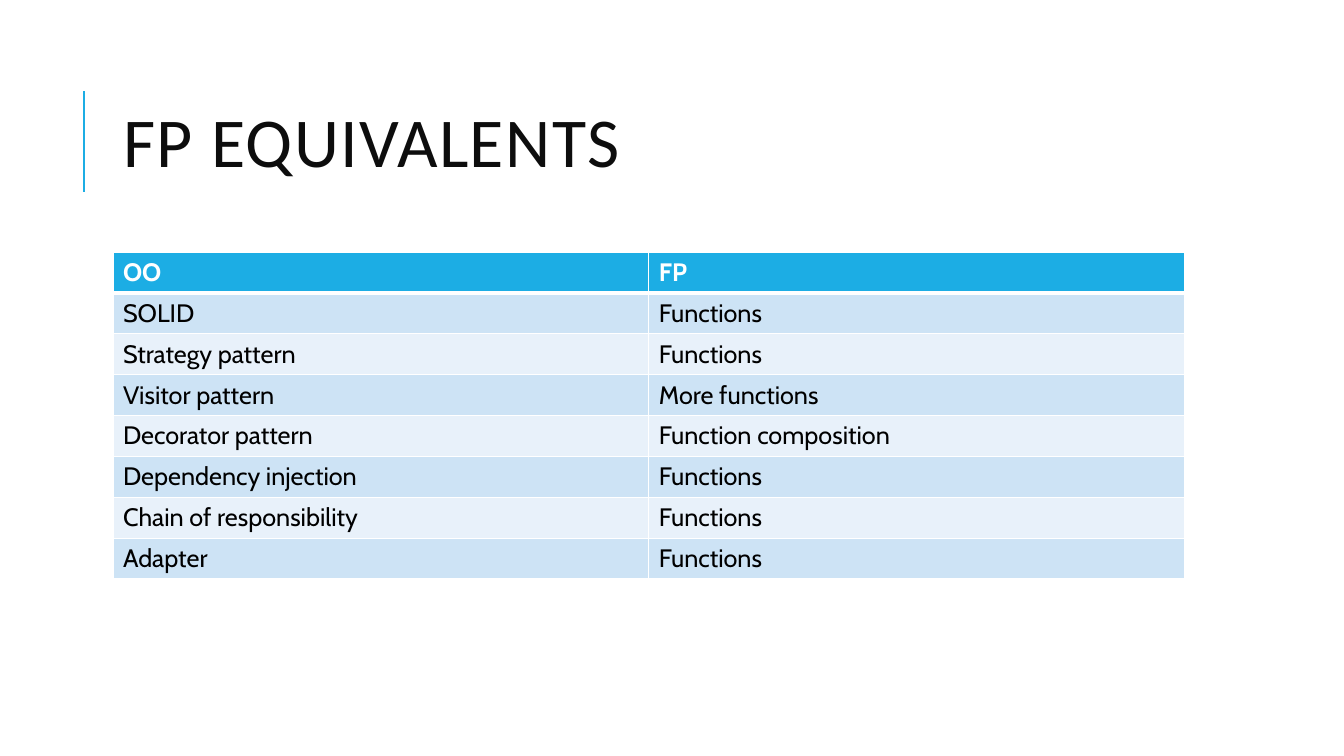
from pptx import Presentation
from pptx.dml.color import RGBColor
from pptx.enum.shapes import MSO_CONNECTOR
from pptx.enum.text import MSO_ANCHOR, MSO_AUTO_SIZE, PP_ALIGN
from pptx.oxml.ns import qn
from pptx.util import Inches, Pt
from lxml.etree import SubElement

TITLE = "FP EQUIVALENTS"
EQUIVALENTS = [
    ("OO", "FP"),
    ("SOLID", "Functions"),
    ("Strategy pattern", "Functions"),
    ("Visitor pattern", "More functions"),
    ("Decorator pattern", "Function composition"),
    ("Dependency injection", "Functions"),
    ("Chain of responsibility", "Functions"),
    ("Adapter", "Functions"),
]
ACCENT, WHITE, BLACK, TITLE_INK = "1CADE4", "FFFFFF", "000000", "0D0D0D"
BANDS = ("E8F1FA", "CDE3F5")  # even rows, odd rows
LEFT, WIDTH = 1.12, 10.63
TABLE_TOP, ROW_HEIGHT = 2.5, 0.405


def rgb(value):
    return RGBColor.from_string(value)


def add_run(paragraph, text, font, size, color, bold=False):
    run = paragraph.add_run()
    run.text = text
    run.font.name = font
    run.font.size = Pt(size)
    run.font.bold = bold
    run.font.color.rgb = rgb(color)
    return run


def add_border(cell, side, width):
    border = SubElement(cell._tc.get_or_add_tcPr(), qn(f"a:ln{side}"), w=str(Pt(width)))
    fill = SubElement(border, qn("a:solidFill"))
    SubElement(fill, qn("a:srgbClr"), val=WHITE)


prs = Presentation()
prs.slide_width, prs.slide_height = Inches(13.33), Inches(7.5)
slide = prs.slides.add_slide(prs.slide_layouts[5])

# Accent line beside the title
accent = slide.shapes.add_connector(
    MSO_CONNECTOR.STRAIGHT, Inches(0.83), Inches(1.9), Inches(0.83), Inches(0.9))
accent.line.color.rgb = rgb(ACCENT)
accent.line.width = Pt(1.5)
SubElement(accent._element.spPr, qn("a:effectLst"))

# Title
title = slide.shapes.title
title.left, title.top = Inches(LEFT), Inches(0.64)
title.width, title.height = Inches(WIDTH), Inches(1.64)
frame = title.text_frame
frame.auto_size = MSO_AUTO_SIZE.NONE
frame.word_wrap = True
frame.vertical_anchor = MSO_ANCHOR.MIDDLE
heading = frame.paragraphs[0]
heading.alignment = PP_ALIGN.LEFT
heading.line_spacing = 0.8
heading_run = add_run(heading, TITLE, "Calibri", 50, TITLE_INK)
heading_run.font._element.set("spc", "100")

# Table of equivalents
table = slide.shapes.add_table(
    len(EQUIVALENTS), 2, Inches(LEFT), Inches(TABLE_TOP),
    Inches(WIDTH), Inches(ROW_HEIGHT * len(EQUIVALENTS))).table
for r, row in enumerate(EQUIVALENTS):
    header = r == 0
    table.rows[r].height = Inches(ROW_HEIGHT)
    for c, text in enumerate(row):
        cell = table.cell(r, c)
        add_run(cell.text_frame.paragraphs[0], text, "Cabin", 18,
                WHITE if header else BLACK, header)
        # Borders come before the fill in the cell properties
        for side in "LRTB":
            thick = (header and side == "B") or (r == 1 and side == "T")
            add_border(cell, side, 3 if thick else 1)
        cell.fill.solid()
        cell.fill.fore_color.rgb = rgb(ACCENT if header else BANDS[r % 2])

prs.save("out.pptx")
